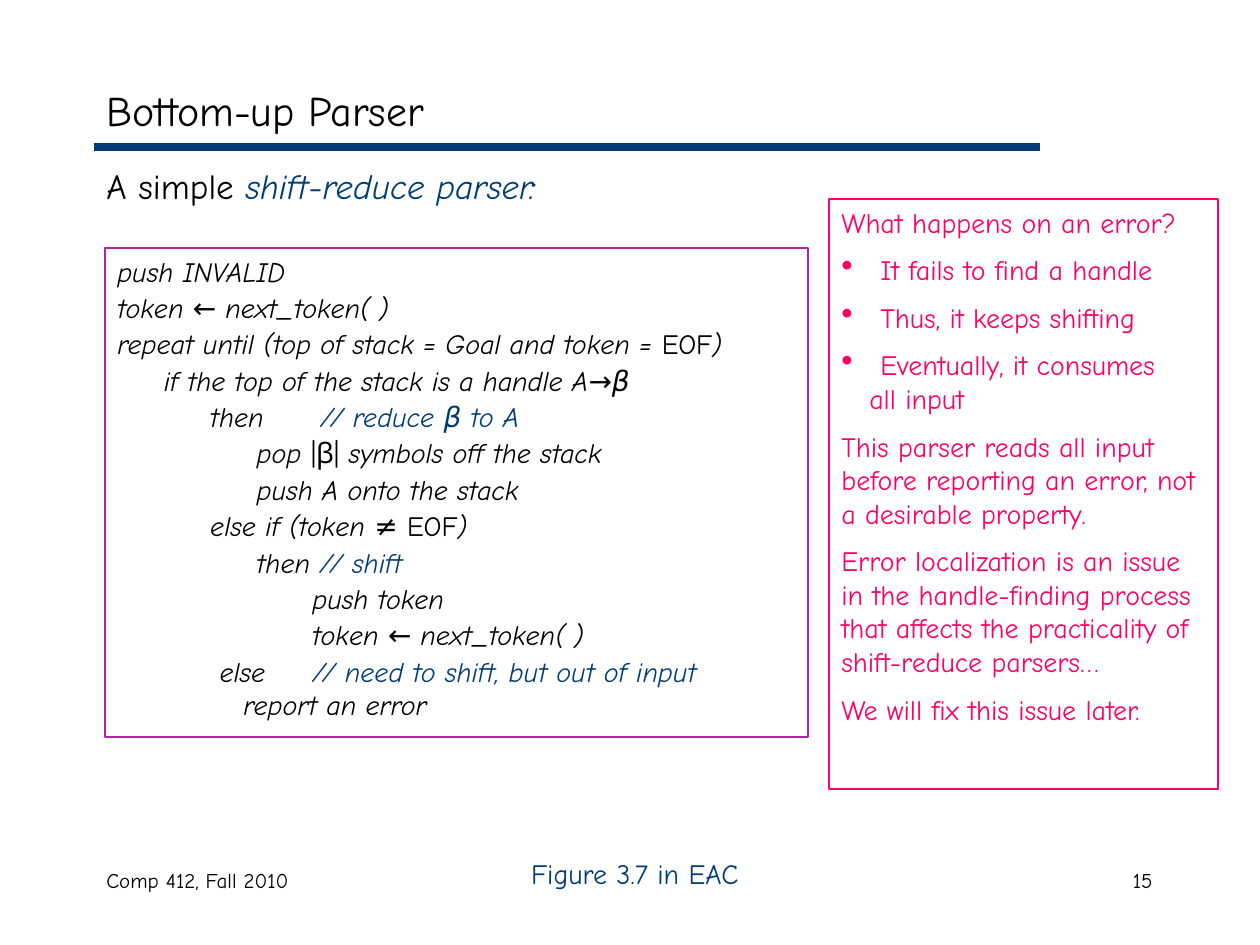
from lxml.etree import SubElement
from pptx import Presentation
from pptx.dml.color import RGBColor
from pptx.enum.shapes import MSO_CONNECTOR as Connector, MSO_SHAPE as Shape
from pptx.enum.text import MSO_ANCHOR as Anchor, PP_ALIGN as Align
from pptx.oxml.ns import qn
from pptx.util import Emu, Pt

EMU_PER_PX = 914400 / 126
NAVY, BLACK, PURPLE, PINK = "003C75", "000000", "B025A6", "FF0065"
BULLET_INDENT = 39

CODE = {"italic": True}
COMMENT = {"italic": True, "color": NAVY}
UPRIGHT = {"italic": False}

PARSER_CODE = [
    [("push INVALID", CODE)],
    [("token ← next_token( )", CODE)],
    [("repeat until (top of stack = Goal and token = ", CODE), ("EOF", UPRIGHT), (")", CODE)],
    [("     if the top of the stack is a handle A→β", CODE)],
    [("          then\t", CODE), ("// reduce β to A", COMMENT)],
    [("               pop ", CODE), ("|β| ", UPRIGHT), ("symbols off the stack", CODE)],
    [("               push A onto the stack", CODE)],
    [("          else if (token ≠ ", CODE), ("EOF", UPRIGHT), (")", CODE)],
    [("               then ", CODE), ("// shift", COMMENT)],
    [("                     push token", CODE)],
    [("                     token ← next_token( )", CODE)],
    [("           else\t", CODE), ("// need to shift, but out of input", COMMENT)],
    [("\treport an error", CODE)],
]
CODE_TABS = {4: 203, 11: 195, 12: 126}

ERROR_NOTES = [
    ("What happens on an error?", {}),
    ("It fails to find a handle", {"bullet": PINK}),
    ("Thus, it keeps shifting", {"bullet": PINK}),
    ("Eventually, it consumes", {"bullet": PINK}),
    ("all input", {"before": 0, "margin": 28}),
    ("This parser reads all input before reporting an error, not a desirable property.", {}),
    ("Error localization is an issue in the handle-finding process that affects "
     "the practicality of shift-reduce parsers…", {}),
    ("We will fix this issue later.", {}),
]


def px(length):
    """Turn pixels into EMU."""
    return Emu(round(length * EMU_PER_PX))


def rgb(color):
    """Turn a hex string into a colour."""
    return RGBColor.from_string(color)


def apply(target, formats):
    """Set every attribute named in a dict of formats."""
    for name, value in formats.items():
        setattr(target, name, value)


def add_bullet(paragraph, color):
    """Give a paragraph a hanging round bullet."""
    props = paragraph._p.get_or_add_pPr()
    props.set("marL", str(px(BULLET_INDENT)))
    props.set("indent", str(-px(BULLET_INDENT)))
    tint = SubElement(props, qn("a:buClr"))
    SubElement(tint, qn("a:srgbClr"), val=color)
    SubElement(props, qn("a:buSzPct"), val="120000")
    SubElement(props, qn("a:buChar"), char="•")


def add_tab(paragraph, position):
    """Give a paragraph one left tab stop."""
    stops = SubElement(paragraph._p.get_or_add_pPr(), qn("a:tabLst"))
    SubElement(stops, qn("a:tab"), pos=str(px(position)), algn="l")


def add_paragraph(frame, runs, size, color=BLACK, before=0, align=Align.LEFT,
                  bullet=None, tab=None, margin=None):
    """Write one paragraph of styled runs into a text frame."""
    is_first = not frame.paragraphs[0].runs
    paragraph = frame.paragraphs[0] if is_first else frame.add_paragraph()
    if bullet:
        add_bullet(paragraph, bullet)
    if tab:
        add_tab(paragraph, tab)
    if margin:
        paragraph._p.get_or_add_pPr().set("marL", str(px(margin)))
    apply(paragraph, {"alignment": align, "space_before": Pt(0 if is_first else before)})
    for text, style in runs:
        run = paragraph.add_run()
        run.text = text
        apply(run.font, {"name": "Comic Neue", "size": Pt(size),
                         "italic": style.get("italic", False)})
        run.font.color.rgb = rgb(style.get("color", color))


def add_label(slide, box, runs, size, anchor=Anchor.TOP, **formats):
    """Add a one-paragraph text box."""
    frame = slide.shapes.add_textbox(*map(px, box)).text_frame
    apply(frame, {"word_wrap": True, "vertical_anchor": anchor})
    add_paragraph(frame, runs, size, **formats)


def add_panel(slide, box, color, width):
    """Add an outlined rectangle and return its text frame."""
    panel = slide.shapes.add_shape(Shape.RECTANGLE, *map(px, box))
    panel.shadow.inherit = False
    panel.fill.background()
    panel.line.color.rgb = rgb(color)
    panel.line.width = Pt(width)
    apply(panel.text_frame, {"word_wrap": True, "vertical_anchor": Anchor.TOP})
    return panel.text_frame


def add_rule(slide, left, right, y):
    """Add the bar under the title."""
    rule = slide.shapes.add_connector(Connector.STRAIGHT, px(left), px(y), px(right), px(y))
    rule.line.color.rgb = rgb(NAVY)
    rule.line.width = Pt(4.5)
    SubElement(rule._element.spPr, qn("a:effectLst"))


def main():
    """Build and save the slide."""
    deck = Presentation()
    apply(deck, {"slide_width": px(1260), "slide_height": px(945)})
    slide = deck.slides.add_slide(deck.slide_layouts[6])

    add_rule(slide, 94, 1040, 147)
    add_label(slide, (94, 861, 399, 63), [("Comp 412, Fall 2010", {})], 12)
    add_label(slide, (903, 861, 262, 63), [("15", {})], 12, align=Align.RIGHT)
    add_label(slide, (94, 73, 1071, 73), [("Bottom-up Parser", {})], 24, anchor=Anchor.MIDDLE)
    add_label(slide, (94, 158, 1071, 60),
              [("A simple ", {}), ("shift-reduce parser:", COMMENT)], 20)

    code = add_panel(slide, (105, 248, 703, 489), PURPLE, 1)
    last = len(PARSER_CODE) - 1
    for number, runs in enumerate(PARSER_CODE):
        add_paragraph(code, runs, 16, before=0 if number == last else 1.6,
                      tab=CODE_TABS.get(number))

    add_label(slide, (430, 850, 410, 47), [("Figure 3.7 in EAC", {})], 16,
              color=NAVY, align=Align.CENTER)

    notes = add_panel(slide, (829, 199, 389, 590), PINK, 1.5)
    for text, formats in ERROR_NOTES:
        add_paragraph(notes, [(text, {})], 16, **{"color": PINK, "before": 8, **formats})

    deck.save("out.pptx")


if __name__ == "__main__":
    main()
